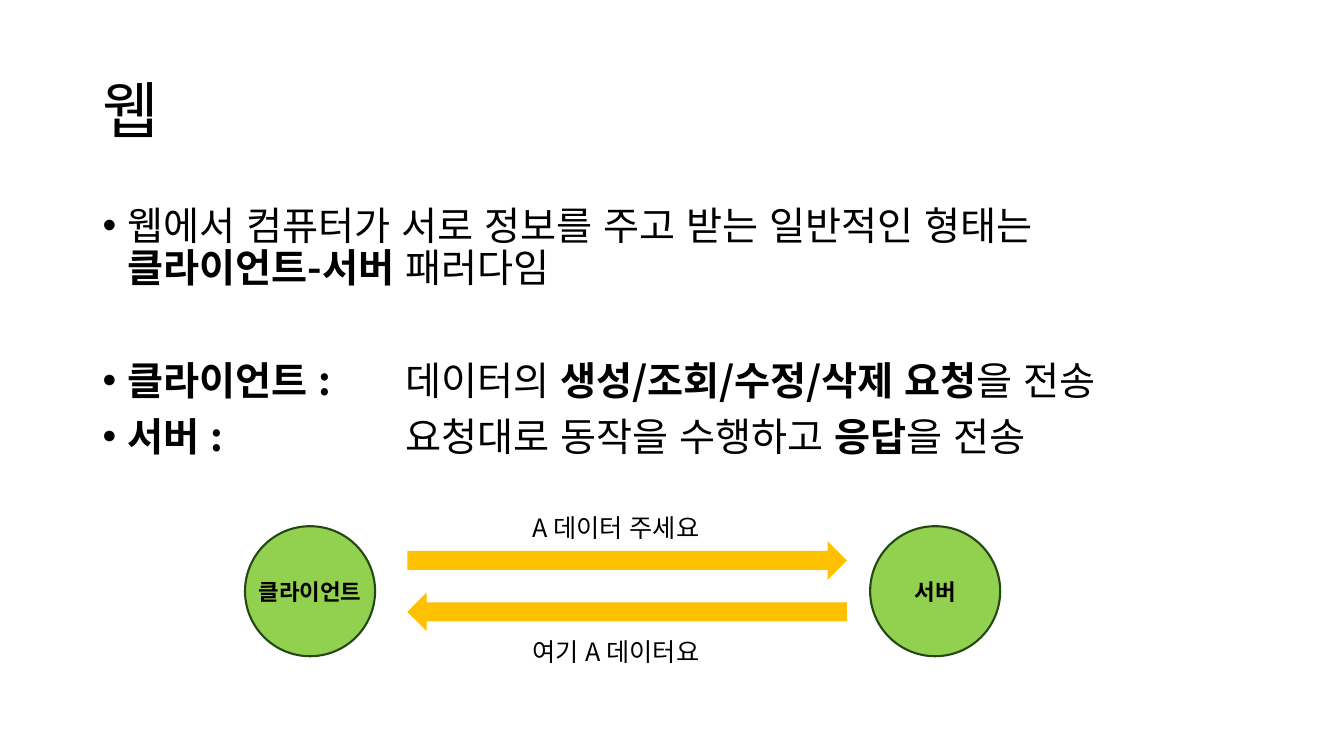
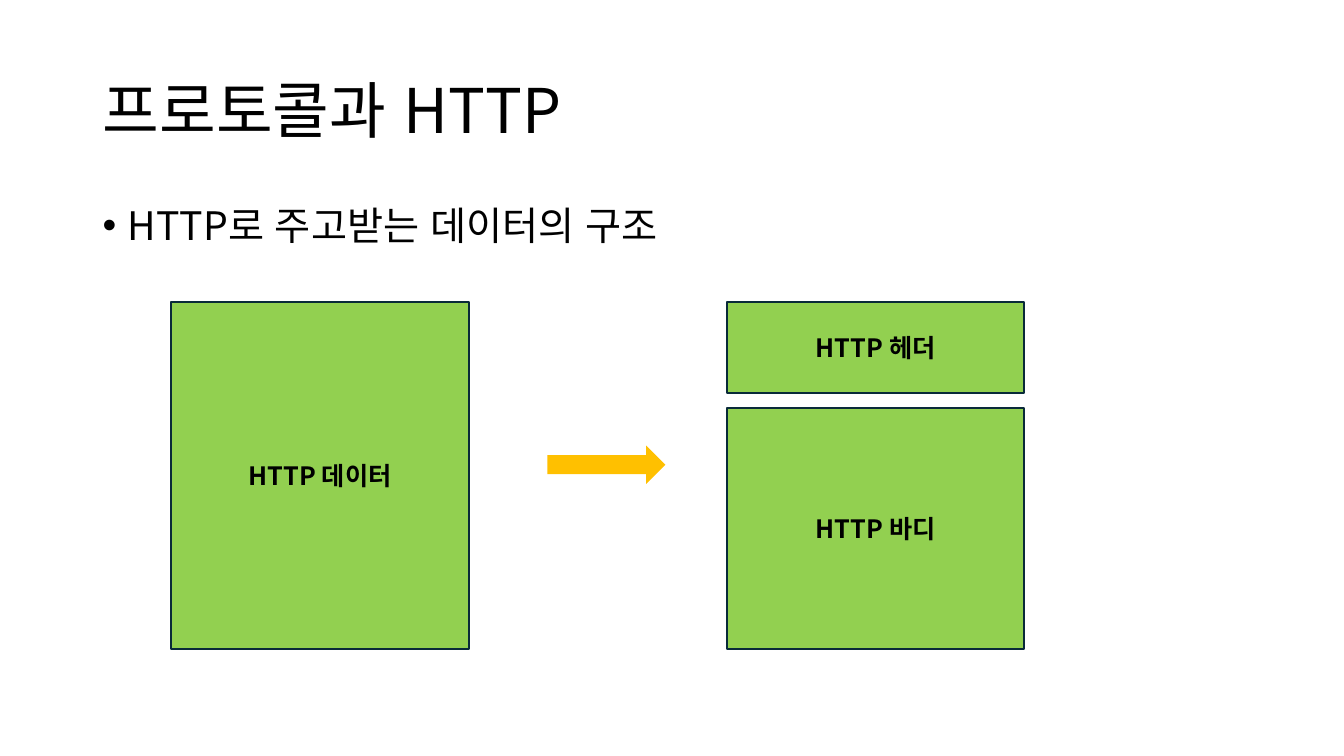
from pptx import Presentation
from pptx.dml.color import RGBColor
from pptx.enum.lang import MSO_LANGUAGE_ID as Language
from pptx.enum.shapes import MSO_SHAPE as Shape
from pptx.enum.text import MSO_ANCHOR as Anchor, PP_ALIGN as Align
from pptx.oxml.ns import qn
from pptx.util import Inches, Pt
from lxml import etree

FONT = "Noto Sans CJK KR"
BLACK = RGBColor(0x00, 0x00, 0x00)
GREEN = RGBColor(0x92, 0xD0, 0x50)
DARK_GREEN = RGBColor(0x22, 0x49, 0x14)
NAVY = RGBColor(0x09, 0x2A, 0x39)
AMBER = RGBColor(0xFF, 0xC0, 0x00)
MARGIN, CONTENT_WIDTH = 0.92, 11.5
ARROW_HEIGHT = 0.38


def write_runs(paragraph, runs, size, bold=False):
    for text, run_bold in [(runs, bold)] if isinstance(runs, str) else runs:
        for index, line in enumerate(text.split("\n")):
            if index:
                paragraph.add_line_break()
            if not line:
                continue
            run = paragraph.add_run()
            run.text = line
            run.font.name, run.font.size = FONT, Pt(size)
            run.font.bold, run.font.color.rgb = run_bold, BLACK
            run.font.language_id = Language.KOREAN
            east_asian = etree.SubElement(run._r.get_or_add_rPr(), qn("a:ea"))
            east_asian.set("typeface", FONT)


def add_bullet(paragraph):
    properties = paragraph._p.get_or_add_pPr()
    properties.set("marL", str(Inches(0.25)))
    properties.set("indent", str(-Inches(0.25)))
    properties.set("defTabSz", str(Inches(1)))
    etree.SubElement(properties, qn("a:buFont")).set("typeface", "Arial")
    etree.SubElement(properties, qn("a:buChar")).set("char", "•")


def set_text(shape, paragraphs, size=18, bold=False, align=Align.LEFT,
             anchor=Anchor.TOP, wrap=True, line_spacing=None, bullets=False):
    frame = shape.text_frame
    frame.word_wrap, frame.vertical_anchor = wrap, anchor
    for index, (runs, space_before) in enumerate(paragraphs):
        paragraph = frame.add_paragraph() if index else frame.paragraphs[0]
        paragraph.alignment = align
        paragraph.space_before = Pt(space_before)
        if line_spacing:
            paragraph.line_spacing = line_spacing
        if bullets:
            add_bullet(paragraph)
        write_runs(paragraph, runs, size, bold)


def add_text(slide, box, paragraphs, **text_format):
    shape = slide.shapes.add_textbox(*map(Inches, box))
    set_text(shape, paragraphs, **text_format)


def add_figure(slide, kind, box, fill, line=None, label=None, size=18, wrap=True):
    shape = slide.shapes.add_shape(kind, *map(Inches, box))
    shape.shadow.inherit = False
    shape.fill.solid()
    shape.fill.fore_color.rgb = fill
    if line is None:
        shape.line.fill.background()
    else:
        shape.line.color.rgb, shape.line.width = line, Pt(1.5)
    if label:
        set_text(shape, [(label, 0)], size=size, bold=True, wrap=wrap,
                 align=Align.CENTER, anchor=Anchor.MIDDLE)
    return shape


def add_arrow(slide, left, top, width, rotation=0):
    arrow = add_figure(slide, Shape.RIGHT_ARROW, (left, top, width, ARROW_HEIGHT), AMBER)
    arrow.rotation = rotation


def add_content_slide(presentation, title, body, body_height):
    slide = presentation.slides.add_slide(presentation.slide_layouts[6])
    add_text(slide, (MARGIN, 0.4, CONTENT_WIDTH, 1.45), [(title, 0)], size=44,
             anchor=Anchor.MIDDLE, line_spacing=0.9)
    add_text(slide, (MARGIN, 2, CONTENT_WIDTH, body_height), body, size=28,
             line_spacing=0.9, bullets=True)
    return slide


def draw_exchange(slide, left, top):
    diameter, server_offset = 1.29, 6.2
    for offset, label in ((0, "클라이언트"), (server_offset, "서버")):
        add_figure(slide, Shape.OVAL, (left + offset, top, diameter, diameter),
                   GREEN, DARK_GREEN, label, size=16, wrap=False)
    messages = (("A 데이터 주세요", -0.19, 0.15, 0), ("여기 A 데이터요", 1.04, 0.66, 180))
    for message, text_offset, arrow_offset, rotation in messages:
        add_arrow(slide, left + 1.61, top + arrow_offset, 4.36, rotation)
        add_text(slide, (left + 2.75, top + text_offset, 2.06, 0.4), [(message, 0)],
                 wrap=False)


def draw_message_parts(slide, left, top):
    width, height, header_height, gap = 2.95, 3.44, 0.9, 0.15
    parts_left = left + 5.51
    body_offset = header_height + gap
    blocks = (("HTTP 데이터", left, 0, height),
              ("HTTP 헤더", parts_left, 0, header_height),
              ("HTTP 바디", parts_left, body_offset, height - body_offset))
    for label, block_left, offset, block_height in blocks:
        add_figure(slide, Shape.RECTANGLE, (block_left, top + offset, width, block_height),
                   GREEN, NAVY, label)
    add_arrow(slide, left + 3.73, top + 1.42, 1.17)


def build_web_slide(presentation):
    body = [
        ([("웹에서 컴퓨터가 서로 정보를 주고 받는 일반적인 형태는\n", False),
          ("클라이언트-서버 ", True), ("패러다임", False)], 10),
        ([("클라이언트 : \t", True), ("데이터의 ", False),
          ("생성/조회/수정/삭제 요청", True), ("을 전송", False)], 50),
        ([("서버 : \t\t", True), ("요청대로 동작을 수행하고 ", False),
          ("응답", True), ("을 전송", False)], 10),
    ]
    slide = add_content_slide(presentation, "웹", body, 5.16)
    draw_exchange(slide, 2.43, 5.22)


def build_http_slide(presentation):
    body = [("HTTP로 주고받는 데이터의 구조", 10)]
    slide = add_content_slide(presentation, "프로토콜과 HTTP", body, 4.76)
    draw_message_parts(slide, 1.7, 3)


def main():
    presentation = Presentation()
    presentation.slide_width, presentation.slide_height = Inches(13.33), Inches(7.5)
    build_web_slide(presentation)
    build_http_slide(presentation)
    presentation.save("out.pptx")


if __name__ == "__main__":
    main()
